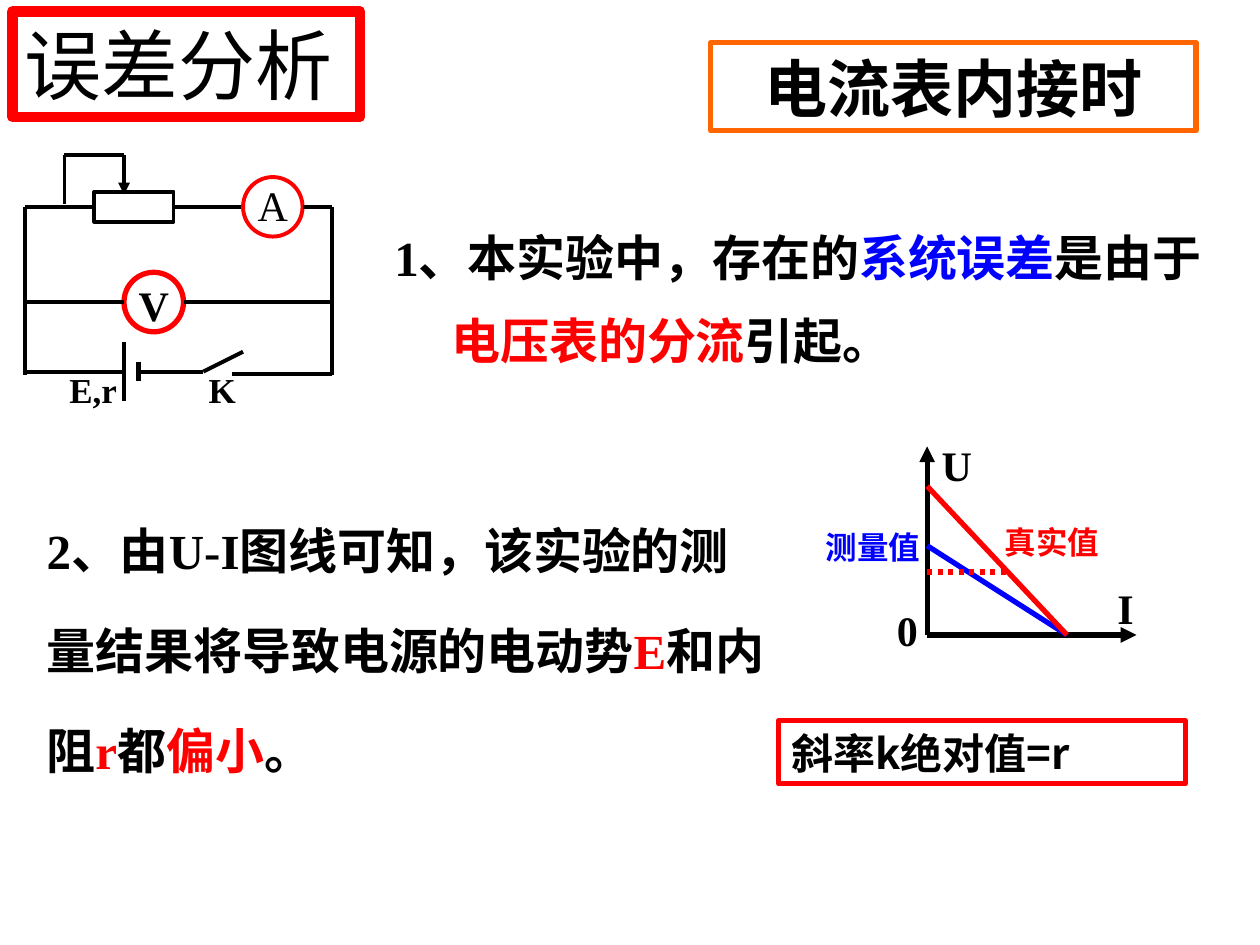
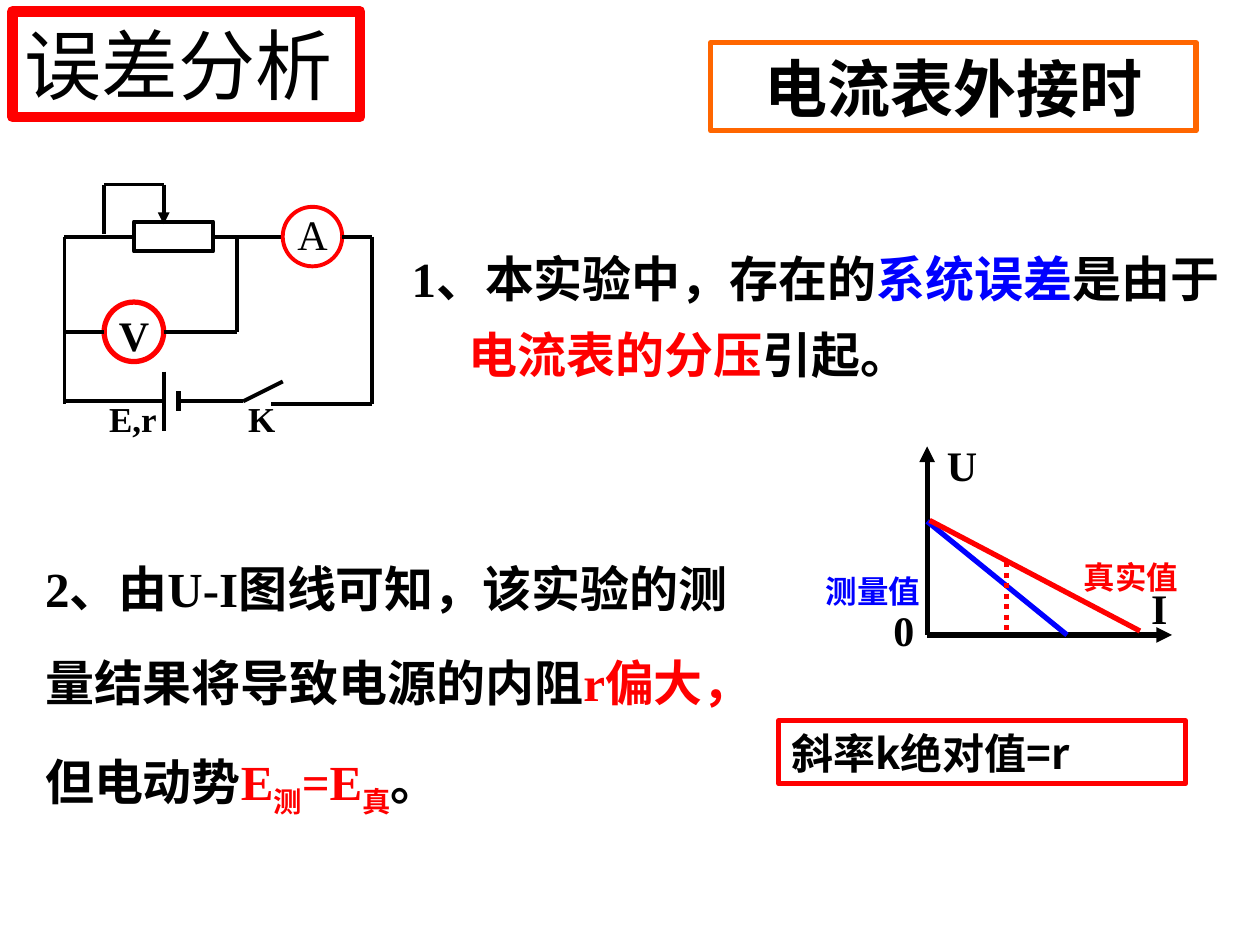
from dataclasses import dataclass

from lxml.etree import SubElement
from pptx import Presentation
from pptx.dml.color import RGBColor
from pptx.enum.dml import MSO_LINE
from pptx.enum.shapes import MSO_CONNECTOR as Connector, MSO_SHAPE as Preset
from pptx.enum.text import MSO_ANCHOR as Anchor, MSO_AUTO_SIZE as AutoSize, PP_ALIGN as Align
from pptx.oxml.ns import qn
from pptx.util import Cm, Pt


@dataclass(frozen=True)
class Theme:
    black: RGBColor = RGBColor(0, 0, 0)
    white: RGBColor = RGBColor(255, 255, 255)
    red: RGBColor = RGBColor(255, 0, 0)
    blue: RGBColor = RGBColor(0, 0, 255)
    orange: RGBColor = RGBColor(255, 102, 0)
    latin: str = "Times New Roman"
    chinese: str = "Noto Sans CJK SC"
    title: int = 44
    case: int = 36
    body: int = 28
    symbol: int = 24
    component: int = 20
    curve: int = 18
    wire: float = 2.25
    bold_line: float = 3
    frame: float = 6
    space_ratio: float = 0.625


THEME = Theme()
FRAME_FORMAT = {
    "word_wrap": True, "auto_size": AutoSize.SHAPE_TO_FIT_TEXT, "vertical_anchor": Anchor.TOP,
    "margin_left": Cm(0.25), "margin_right": Cm(0.25),
    "margin_top": Cm(0.13), "margin_bottom": Cm(0.13),
}


def apply_format(target, values):
    for name, value in values.items():
        setattr(target, name, value)


def add_run(paragraph, text, size, color=THEME.black, bold=True, font=THEME.latin, baseline=0):
    run = paragraph.add_run()
    run.text = text
    apply_format(run.font, {"size": Pt(size), "bold": bold, "name": font})
    run.font.color.rgb = color
    properties = run._r.get_or_add_rPr()
    SubElement(properties, qn("a:ea")).set("typeface", THEME.chinese)
    if baseline:
        properties.set("baseline", str(baseline * 1000))


def write(shape, text, size, align=Align.CENTER, **style):
    apply_format(shape.text_frame, FRAME_FORMAT)
    paragraph = shape.text_frame.paragraphs[0]
    apply_format(paragraph, {"alignment": align, "space_before": Pt(size * THEME.space_ratio)})
    add_run(paragraph, text, size, **style)


def add_label(shapes, box, text, size, **style):
    write(shapes.add_textbox(*map(Cm, box)), text, size, **style)


def add_outline(shapes, preset, box, color, width, filled=True):
    shape = shapes.add_shape(preset, *map(Cm, box))
    shape.shadow.inherit = False
    if filled:
        shape.fill.solid()
        shape.fill.fore_color.rgb = THEME.white
    else:
        shape.fill.background()
    shape.line.color.rgb = color
    shape.line.width = Pt(width)
    return shape


def add_line(shapes, origin, ends, color=THEME.black, width=THEME.wire, arrow=False, dotted=False):
    left, top = origin
    x1, y1, x2, y2 = ends
    line = shapes.add_connector(
        Connector.STRAIGHT, Cm(left + x1), Cm(top + y1), Cm(left + x2), Cm(top + y2))
    line.line.color.rgb = color
    line.line.width = Pt(width)
    if dotted:
        line.line.dash_style = MSO_LINE.ROUND_DOT
    if arrow:
        SubElement(line.get_or_add_ln(), qn("a:tailEnd")).set("type", "triangle")
    SubElement(line._element.spPr, qn("a:effectLst"))
    return line


def add_headings(slide, case):
    title = add_outline(
        slide.shapes, Preset.RECTANGLE, (0.25, 0.23, 7.01, 2.13), THEME.red, THEME.frame, False)
    write(title, "误差分析", THEME.title, Align.LEFT, bold=False)
    heading = add_outline(
        slide.shapes, Preset.RECTANGLE, (14.33, 0.86, 9.78, 1.78),
        THEME.orange, THEME.bold_line, False)
    write(heading, case, THEME.case)


def add_slope_note(slide):
    note = add_outline(
        slide.shapes, Preset.RECTANGLE, (15.7, 14.53, 8.2, 1.27), THEME.red, THEME.bold_line)
    write(note, "斜率k绝对值=r", THEME.symbol, Align.LEFT, font=THEME.chinese)


def add_circuit(slide, origin, meter_x, branch_x):
    shapes = slide.shapes.add_group_shape().shapes
    left, top = origin
    rail, upper, middle, lower, meter = 6.2, 1.05, 2.97, 4.37, 1.2

    resistor = add_outline(
        shapes, Preset.RECTANGLE, (left + 1.4, top + upper - 0.3, 1.6, 0.6),
        THEME.black, THEME.wire)
    add_line(shapes, origin, (0, upper, 1.4, upper)).end_connect(resistor, 1)
    add_line(shapes, origin, (3, upper, 4.4, upper)).begin_connect(resistor, 3)

    meters = (
        ("A", 4.4, upper, THEME.wire, False, 0.69),
        ("V", meter_x, middle, THEME.bold_line, True, 0.58),
    )
    for name, x, y, width, bold, rise in meters:
        circle = (left + x, top + y - meter / 2, meter, meter)
        add_outline(shapes, Preset.OVAL, circle, THEME.red, width)
        add_label(shapes, (left + x, top + y - rise, meter, 1.27), name, THEME.symbol, bold=bold)

    wires = [
        (4.4 + meter, upper, rail, upper),
        (0, middle, meter_x, middle),
        (meter_x + meter, middle, branch_x, middle),
        (0, upper, 0, 4.43),
        (rail, upper, rail, 4.43),
        (0.8, 0, 0.8, 1),
        (0.8, 0, 2, 0),
        (0, lower, 2, lower),
        (2, lower - 0.6, 2, lower + 0.6),
        (2.3, lower, 3.6, lower),
        (3.6, lower, 4.4, lower - 0.4),
        (4.17, 4.42, rail, 4.42),
    ]
    if branch_x < rail:
        wires.append((branch_x, upper, branch_x, middle))
    for wire in wires:
        add_line(shapes, origin, wire)
    add_line(shapes, origin, (2, 0, 2, 0.8), arrow=True)
    add_line(shapes, origin, (2.3, lower - 0.2, 2.3, lower + 0.2), width=THEME.bold_line)

    for name, x, width in (("K", 3.38, 1.2), ("E,r", 0.58, 1.6)):
        add_label(shapes, (left + x, top + 4.17, width, 1.12), name, THEME.component)


def add_graph(slide, stretch, measured, true, guide, measured_label, true_label):
    origin = left, top = 18.69, 12.8
    axes = slide.shapes.add_group_shape().shapes
    for end in ((0, -3.8), (4.22 * stretch, 0)):
        add_line(axes, origin, (0, 0, *end), width=THEME.bold_line, arrow=True)
    for name, x, y in (("0", -1, -0.74), ("U", 0, -4.06), ("I", 3.4, -1.19)):
        box = (left + x * stretch, top + y, 1.2 * stretch, 1.27)
        add_label(axes, box, name, THEME.symbol)

    curves = (
        ("测量值", measured, measured_label, THEME.blue),
        ("真实值", true, true_label, THEME.red),
    )
    for name, ends, (x, y), color in curves:
        add_line(slide.shapes, origin, ends, color, THEME.bold_line)
        add_label(slide.shapes, (left + x, top + y, 2.59, 1.02), name, THEME.curve, color=color)
    add_line(slide.shapes, origin, guide, THEME.red, THEME.bold_line, dotted=True)


def add_statement(slide, box, spacing, paragraphs):
    frame = slide.shapes.add_textbox(*map(Cm, box)).text_frame
    apply_format(frame, FRAME_FORMAT)
    for index, runs in enumerate(paragraphs):
        paragraph = frame.add_paragraph() if index else frame.paragraphs[0]
        before = 0 if index else THEME.body * THEME.space_ratio
        apply_format(paragraph, {"line_spacing": spacing, "space_before": Pt(before)})
        if index:
            paragraph._p.get_or_add_pPr().set("marL", str(Cm(1.15)))
        for text, color, *baseline in runs:
            add_run(paragraph, text, THEME.body, color, baseline=baseline[0] if baseline else 0)


def error_cause(cause):
    return (
        (("1、本实验中，存在的", THEME.black), ("系统误差", THEME.blue), ("是由于", THEME.black)),
        ((cause, THEME.red), ("引起。", THEME.black)),
    )


def build_slide(presentation, case, circuit, cause, conclusion, graph):
    slide = presentation.slides.add_slide(presentation.slide_layouts[6])
    add_headings(slide, case)
    add_circuit(slide, **circuit)
    add_statement(slide, *cause)
    add_statement(slide, *conclusion)
    add_graph(slide, **graph)
    add_slope_note(slide)


def main():
    presentation = Presentation()
    apply_format(presentation, {"slide_width": Cm(25.4), "slide_height": Cm(19.05)})
    build_slide(
        presentation,
        case="电流表内接时",
        circuit={"origin": (0.5, 3.12), "meter_x": 2, "branch_x": 6.2},
        cause=((7.7, 3.99, 16.99, 5.23), 1.4, error_cause("电压表的分流")),
        conclusion=((0.69, 9.53, 15.01, 6.3), 1.7, ((
            ("2、由U-I图线可知，该实验的测量结果将导致电源的电动势", THEME.black),
            ("E", THEME.red), ("和内阻", THEME.black), ("r", THEME.red),
            ("都", THEME.black), ("偏小", THEME.red), ("。", THEME.black),
        ),)),
        graph={
            "stretch": 1,
            "measured": (0, -1.8, 2.82, 0), "true": (2.82, 0, 0, -3),
            "guide": (0, -1.27, 1.6, -1.27),
            "measured_label": (-2.39, -2.29), "true_label": (1.22, -2.39),
        },
    )
    build_slide(
        presentation,
        case="电流表外接时",
        circuit={"origin": (1.3, 3.72), "meter_x": 0.8, "branch_x": 3.48},
        cause=((8.05, 4.52, 16.99, 4.88), 1.3, error_cause("电流表的分压")),
        conclusion=((0.66, 10.41, 15.16, 6.22), 1.6, ((
            ("2、由U-I图线可知，该实验的测量结果将导致电源的内阻", THEME.black),
            ("r偏大，", THEME.red), ("但电动势", THEME.black), ("E", THEME.red),
            ("测", THEME.red, -25), ("=E", THEME.red), ("真", THEME.red, -25),
            ("。", THEME.black),
        ),)),
        graph={
            "stretch": 1.17,
            "measured": (0, -2.29, 2.82, 0), "true": (4.29, -0.08, 0.05, -2.31),
            "guide": (1.6, -1.47, 1.6, -0.08),
            "measured_label": (-2.39, -1.4), "true_label": (2.82, -1.68),
        },
    )
    presentation.save("out.pptx")


if __name__ == "__main__":
    main()
